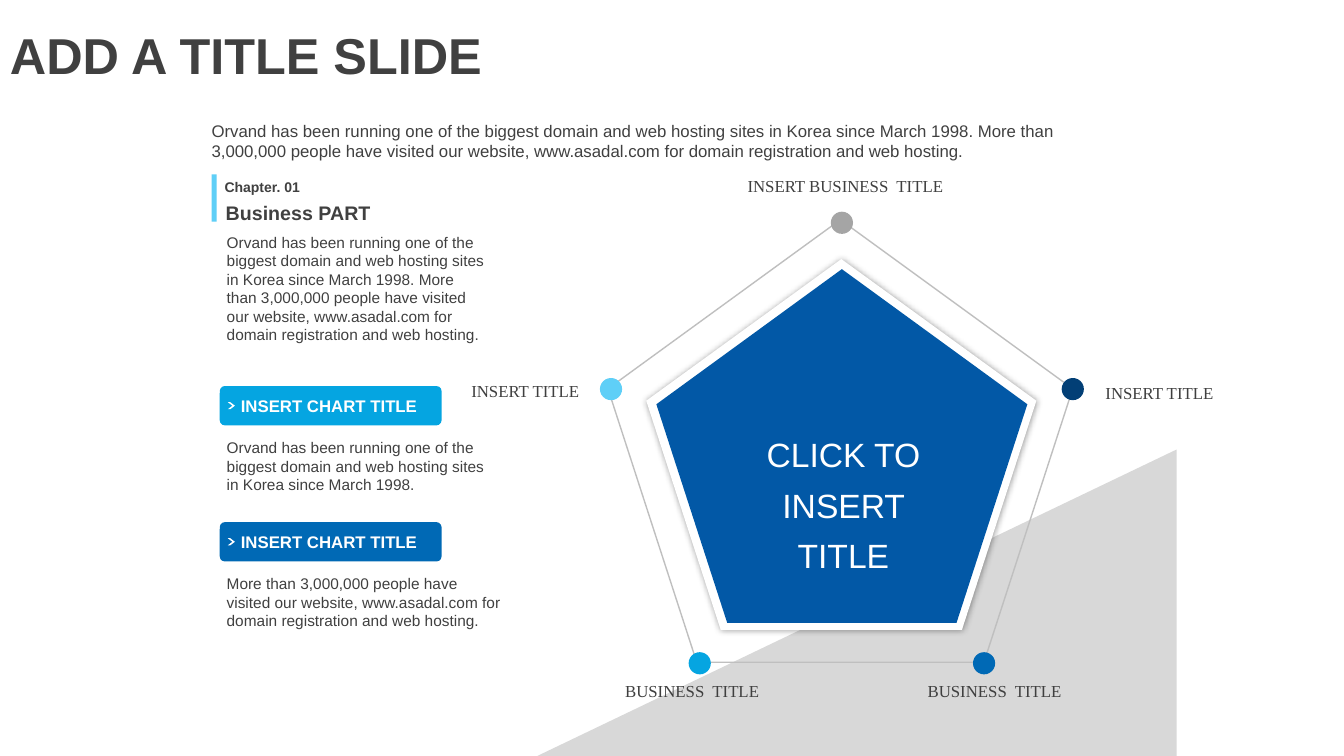
"""Build a business slide with a ringed pentagon and a column of text sections."""
from typing import NamedTuple

from lxml import etree
from pptx import Presentation
from pptx.dml.color import RGBColor
from pptx.enum import shapes, text
from pptx.oxml import ns
from pptx.util import Inches, Pt

WHITE = RGBColor(0xFF, 0xFF, 0xFF)
BLACK = RGBColor(0x00, 0x00, 0x00)
INK = RGBColor(0x40, 0x40, 0x40)
LABEL_INK = RGBColor(0x3F, 0x3F, 0x3F)
PALE_GRAY = RGBColor(0xD8, 0xD8, 0xD8)
RING_GRAY = RGBColor(0xBF, 0xBF, 0xBF)
GRAY = RGBColor(0xA5, 0xA5, 0xA5)
NAVY = RGBColor(0x02, 0x3F, 0x76)
CORE_BLUE = RGBColor(0x02, 0x58, 0xA6)
BLUE = RGBColor(0x00, 0x69, 0xB5)
CYAN = RGBColor(0x05, 0xA5, 0xE1)
SKY = RGBColor(0x5F, 0xCF, 0xF7)

SHAPE = shapes.MSO_SHAPE
DOT = 0.22
SERIF = "Times New Roman"

FIRST_SENTENCE = ("Orvand has been running one of the biggest domain and web "
                  "hosting sites in Korea since March 1998.")
SECOND_SENTENCE = ("More than 3,000,000 people have visited our website, "
                   "www.asadal.com for domain registration and web hosting.")
FULL_TEXT = f"{FIRST_SENTENCE} {SECOND_SENTENCE}"


class Box(NamedTuple):
    """Position and size in inches."""
    left: float
    top: float
    width: float
    height: float


class Node(NamedTuple):
    """A dot on the ring with its label."""
    x: float
    y: float
    color: RGBColor
    label: str
    label_box: Box


class Section(NamedTuple):
    """A heading bar with the text below it."""
    top: float
    color: RGBColor
    body: str
    body_width: float


NODES = [
    Node(8.35, 2.21, GRAY, "INSERT BUSINESS  TITLE", Box(7.14, 1.69, 2.49, 0.3)),
    Node(10.64, 3.86, NAVY, "INSERT TITLE", Box(10.76, 3.75, 1.48, 0.3)),
    Node(6.06, 3.86, SKY, "INSERT TITLE", Box(4.5, 3.73, 1.42, 0.3)),
    Node(6.94, 6.58, CYAN, "BUSINESS  TITLE", Box(5.62, 6.7, 2.49, 0.3)),
    Node(9.76, 6.58, BLUE, "BUSINESS  TITLE", Box(8.62, 6.7, 2.49, 0.3)),
]
SECTIONS = [
    Section(3.83, CYAN, FIRST_SENTENCE, 2.79),
    Section(5.18, BLUE, SECOND_SENTENCE, 2.94),
]


def add_shape(s, kind, box: Box, fill=None, line=None, adj=None):
    """Add a preset shape without a shadow."""
    sp = s.shapes.add_shape(kind, *map(Inches, box))
    sp.shadow.inherit = False
    if fill is None:
        sp.fill.background()
    else:
        sp.fill.solid()
        sp.fill.fore_color.rgb = fill
    if line is None:
        sp.line.fill.background()
    else:
        sp.line.color.rgb = line
        sp.line.width = Pt(1)
    if adj is not None:
        sp.adjustments[0] = adj
    return sp


def add_text(s, box: Box, content: str, *, size: int = 11, color=INK,
             font: str = "Arial", bold: bool = False, center: bool = False,
             spacing=None, middle: bool = False):
    """Add a wrapping text box, one paragraph for each line of content."""
    tf = s.shapes.add_textbox(*map(Inches, box)).text_frame
    tf.word_wrap = True
    if middle:
        tf.vertical_anchor = text.MSO_ANCHOR.MIDDLE
    else:
        tf.auto_size = text.MSO_AUTO_SIZE.SHAPE_TO_FIT_TEXT
    for i, words in enumerate(content.split("\n")):
        p = tf.paragraphs[0] if i == 0 else tf.add_paragraph()
        p.alignment = text.PP_ALIGN.CENTER if center else text.PP_ALIGN.LEFT
        p.line_spacing = spacing
        r = p.add_run()
        r.text = words
        r.font.name, r.font.size, r.font.bold = font, Pt(size), bold
        r.font.color.rgb = color


def add_glow_shadow(sp) -> None:
    """Give a shape a soft centred shadow."""
    effects = sp.element.spPr.find(ns.qn("a:effectLst"))
    shadow = etree.SubElement(effects, ns.qn("a:outerShdw"), blurRad=str(Pt(5)),
                              dist="0", dir="0", algn="ctr", rotWithShape="0")
    color = etree.SubElement(shadow, ns.qn("a:srgbClr"), val=str(BLACK))
    etree.SubElement(color, ns.qn("a:alpha"), val="40000")


def add_pentagon(s) -> None:
    """Draw the pentagon, its ring and the labelled dots."""
    frame = add_shape(s, SHAPE.REGULAR_PENTAGON, Box(6.41, 2.57, 3.87, 3.68), WHITE)
    add_glow_shadow(frame)
    add_shape(s, SHAPE.REGULAR_PENTAGON, Box(6.51, 2.67, 3.68, 3.51), CORE_BLUE)
    add_text(s, Box(7.29, 4.16, 2.15, 0.94), "CLICK TO\nINSERT TITLE", size=24,
             color=WHITE, center=True, spacing=1.25)
    add_shape(s, SHAPE.REGULAR_PENTAGON, Box(6.03, 2.18, 4.61, 4.39), line=RING_GRAY)
    for node in NODES:
        dot = Box(node.x - DOT / 2, node.y - DOT / 2, DOT, DOT)
        add_shape(s, SHAPE.OVAL, dot, node.color)
        add_text(s, node.label_box, node.label, size=12, color=LABEL_INK,
                 font=SERIF, center=True)


def add_section(s, section: Section) -> None:
    """Draw a heading bar with its chevron, title and body."""
    top = section.top
    add_shape(s, SHAPE.ROUNDED_RECTANGLE, Box(2.18, top, 2.2, 0.39),
              section.color, adj=0.13)
    add_shape(s, SHAPE.CHEVRON, Box(2.26, top + 0.16, 0.07, 0.07), WHITE, adj=0.65)
    add_text(s, Box(2.29, top + 0.05, 2.05, 0.3), "INSERT CHART TITLE", size=12,
             color=WHITE, bold=True)
    add_text(s, Box(2.15, top + 0.47, section.body_width, 0.65), section.body)


def main() -> None:
    """Build and save the slide."""
    prs = Presentation()
    prs.slide_width, prs.slide_height = Inches(13.33), Inches(7.5)
    s = prs.slides.add_slide(prs.slide_layouts[6])
    corner = add_shape(s, SHAPE.RIGHT_TRIANGLE, Box(5.33, 4.46, 6.34, 3.04), PALE_GRAY)
    corner.element.spPr.get_or_add_xfrm().set("flipH", "1")
    add_text(s, Box(0, 0.18, 9, 0.71), "ADD A TITLE SLIDE", size=36, bold=True,
             middle=True)
    add_text(s, Box(2, 1.15, 9.33, 0.5), FULL_TEXT, size=12)
    add_pentagon(s)
    add_shape(s, SHAPE.RECTANGLE, Box(2.1, 1.73, 0.05, 0.47), SKY)
    add_text(s, Box(2.13, 1.72, 2.36, 0.27), "Chapter. 01", size=10, bold=True)
    add_text(s, Box(2.14, 1.94, 2.99, 0.34), "Business PART", size=14, bold=True)
    add_text(s, Box(2.15, 2.26, 2.79, 1.21), FULL_TEXT)
    for section in SECTIONS:
        add_section(s, section)
    prs.save("out.pptx")


if __name__ == "__main__":
    main()
